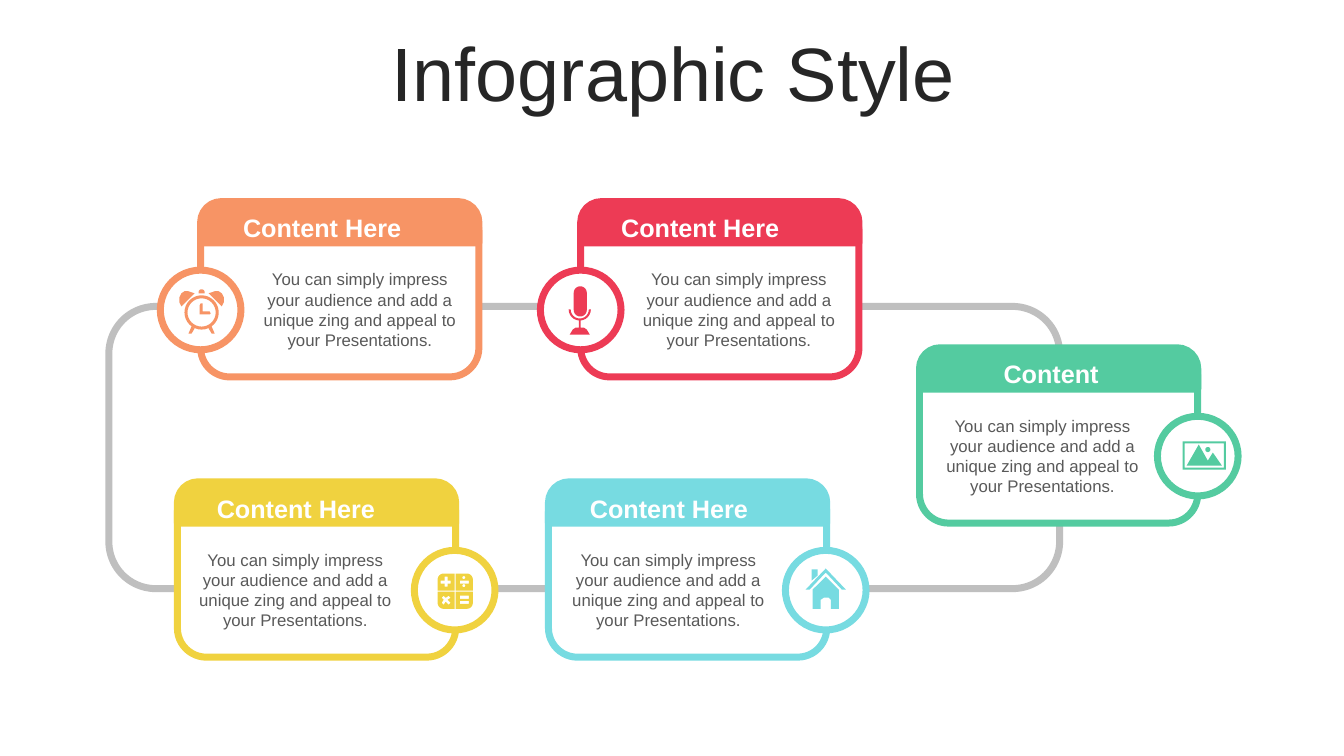
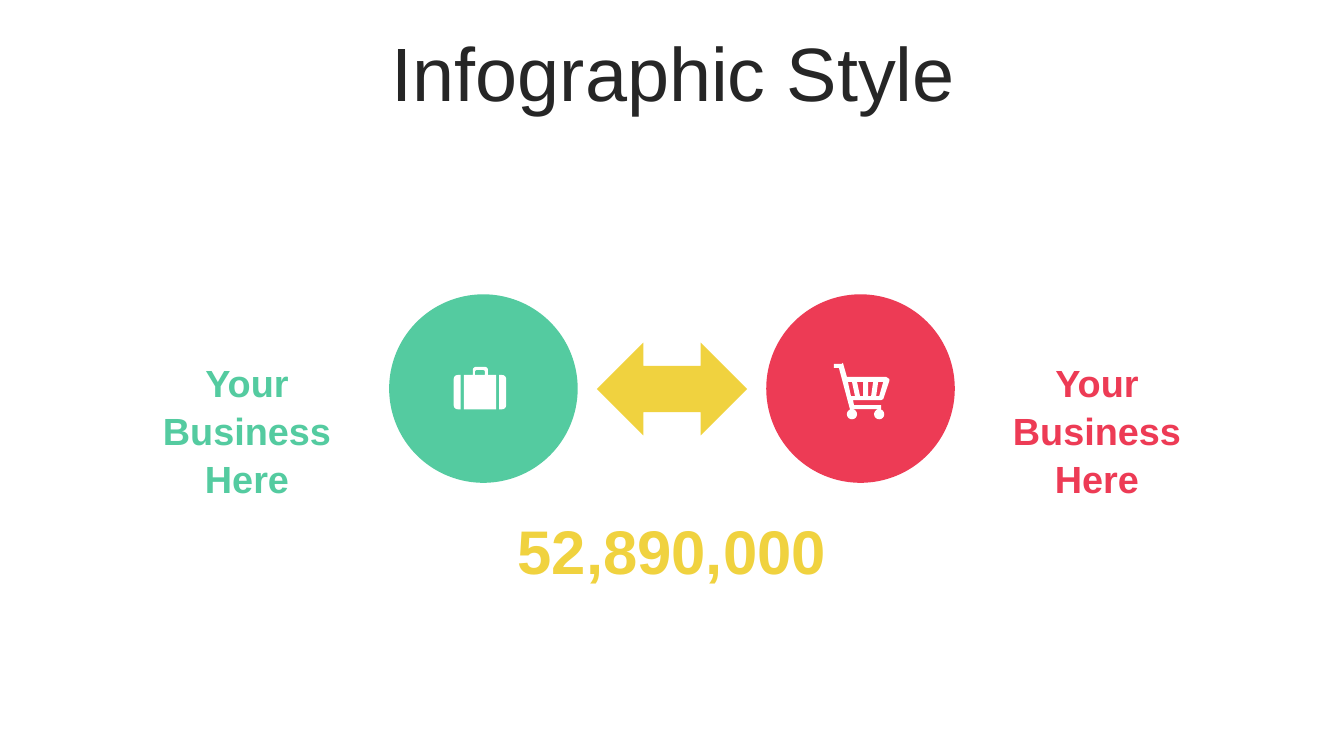
from math import cos, radians, sin

from pptx import Presentation
from pptx.dml.color import RGBColor
from pptx.enum.shapes import MSO_SHAPE
from pptx.enum.text import MSO_ANCHOR, PP_ALIGN
from pptx.util import Emu, Pt

PX = 9144
FONT = "Arial"
ROUNDED = MSO_SHAPE.ROUNDED_RECTANGLE
TOP_ROUNDED = MSO_SHAPE.ROUND_2_SAME_RECTANGLE
OVAL = MSO_SHAPE.OVAL
DOUBLE_ARROW = MSO_SHAPE.LEFT_RIGHT_ARROW
CENTER = PP_ALIGN.CENTER
TOP = MSO_ANCHOR.TOP
MIDDLE = MSO_ANCHOR.MIDDLE

WHITE = RGBColor(0xFF, 0xFF, 0xFF)
INK = RGBColor(0x26, 0x26, 0x26)
TEXT_GRAY = RGBColor(0x59, 0x59, 0x59)
TRACK_GRAY = RGBColor(0xBF, 0xBF, 0xBF)
ORANGE = RGBColor(0xF7, 0x94, 0x65)
RED = RGBColor(0xED, 0x3B, 0x55)
GREEN = RGBColor(0x54, 0xCB, 0xA0)
YELLOW = RGBColor(0xF0, 0xD2, 0x3F)
CYAN = RGBColor(0x77, 0xDB, 0xE1)

TITLE = "Infographic Style"
HEADING = "Content Here"
BLURB = ("You can simply impress your audience and add a unique zing "
         "and appeal to your Presentations.")
BUSINESS = "Your Business Here"


def arc(x, y, radius, start, end, steps=6):
    """Return points along an arc, with angles in degrees clockwise from the right."""
    angles = [radians(start + (end - start) * step / steps) for step in range(steps + 1)]
    return [(x + radius * cos(angle), y + radius * sin(angle)) for angle in angles]


def rounded(left, top, width, height, corners=(0, 0, 0, 0)):
    """Return a rectangle outline with radii given clockwise from the top left."""
    points = []
    for index, radius in enumerate(corners):
        x = left + width - radius if index in (1, 2) else left + radius
        y = top + height - radius if index > 1 else top + radius
        start = 180 + 90 * index
        points += arc(x, y, radius, start, start + 90) if radius else [(x, y)]
    return points


def circle(x, y, radius):
    """Return a circle outline."""
    return arc(x, y, radius, 0, 360, 32)


def mirrored(points, axis):
    """Return points reflected across a vertical axis."""
    return [(2 * axis - x, y) for x, y in points]


BELL = [(15, 4), (2, 17), (0, 13), (0, 8), (2, 4), (5, 2), (9, 2), (12, 3)]
LEG = [(12, 37), (15, 39), (12, 44), (9, 44)]
CLOCK = [
    circle(22, 23, 17), circle(22, 23, 14),
    [(20, 16), (21, 14), (23, 14), (23, 22), (30, 22), (31, 24), (30, 25), (20, 25)],
    rounded(19, 0, 6, 4, (3, 3, 0, 0)),
    BELL, mirrored(BELL, 22), LEG, mirrored(LEG, 22),
]
MICROPHONE = [
    rounded(5, 0, 13, 30, (6.5,) * 4),
    arc(11, 23, 11, 0, 85)
    + [(12, 41), (15, 41), (18, 43), (21, 48), (1, 48), (4, 43), (7, 41), (10, 41)]
    + arc(11, 23, 11, 95, 180) + arc(11, 23, 9, 180, 0, 12),
]
PICTURE = [
    rounded(0, 0, 43, 28), rounded(2, 2, 39, 24), circle(25, 8, 2.5),
    [(16, 3), (25, 19), (30, 11), (39, 24), (4, 24)],
]
CALCULATOR = [
    rounded(0, 0, 17, 17, (6, 0, 0, 0)), rounded(18, 0, 17, 17, (0, 6, 0, 0)),
    rounded(18, 18, 17, 17, (0, 0, 6, 0)), rounded(0, 18, 17, 17, (0, 0, 0, 6)),
    *[rounded(22, top, 9, 3) for top in (7, 22, 27)],
    circle(26, 4, 1.5), circle(26, 12, 1.5),
    [(7, 3), (7, 7), (3, 7), (3, 10), (7, 10), (7, 13),
     (10, 13), (10, 10), (13, 10), (13, 7), (10, 7), (10, 3)],
    [(6, 22), (4, 24), (6, 26), (4, 29), (6, 31), (8, 28),
     (11, 31), (13, 29), (10, 26), (13, 24), (11, 22), (8, 24)],
]
HOUSE = [
    [(20, 8), (33, 21), (33, 40), (25, 40), (25, 31), (23, 29),
     (18, 29), (15, 31), (15, 40), (7, 40), (7, 21)],
    [(6, 1), (12, 1), (12, 7), (6, 12)],
    [(20, 0), (40, 21), (36, 21), (20, 4), (4, 21), (0, 21)],
]
CART = [
    [(9, 0), (13, 14), (52, 14), (55, 16), (55, 18), (49, 36), (47, 37), (19, 37),
     (20, 42), (47, 42), (47, 46), (16, 46), (5, 5), (0, 5), (0, 1), (8, 1)],
    [(44, 19), (42, 33), (45, 33), (49, 19)],
    [(34, 19), (34, 33), (37, 33), (39, 19)],
    [(23, 19), (26, 33), (29, 33), (29, 19)],
    [(14, 19), (17, 33), (21, 33), (18, 19)],
    circle(18, 51, 5), circle(45, 51, 5),
]
BRIEFCASE = [
    rounded(0, 8, 7, 34, (4, 0, 0, 4)), rounded(10, 8, 32, 34),
    rounded(45, 8, 7, 34, (0, 4, 4, 0)),
    rounded(19, 0, 15, 8, (3, 3, 0, 0)), rounded(21, 3, 10, 5, (2, 2, 0, 0)),
]


class Board:
    """Holds the deck, its style and the current slide."""

    def __init__(self):
        """Start an empty widescreen deck."""
        self.deck = Presentation()
        self.deck.slide_width, self.deck.slide_height = self.emu(1333, 750)
        self.page = None

    def emu(self, *lengths):
        """Turn px lengths into EMU."""
        return [Emu(round(length * PX)) for length in lengths]

    def new_page(self, title):
        """Add a slide with the shared title style."""
        self.page = self.deck.slides.add_slide(self.deck.slide_layouts[5])
        box = self.page.shapes.title
        box.left, box.top, box.width, box.height = self.emu(35, 37, 1266, 79)
        self.set_text(box, title, 54, INK, anchor=MIDDLE, spacing=0.9)

    def set_text(self, box, text, size, color, bold=False, anchor=TOP, spacing=1.0):
        """Fill a box with one centred paragraph."""
        frame = box.text_frame
        frame.text = text
        frame.word_wrap = True
        frame.vertical_anchor = anchor
        para = frame.paragraphs[0]
        para.alignment = CENTER
        para.line_spacing = spacing
        para.space_before = Pt(0)
        font = para.runs[0].font
        font.name, font.size, font.bold = FONT, Pt(size), bold
        font.color.rgb = color

    def text(self, bounds, text, size, color, bold=False, spacing=1.0):
        """Add a text box."""
        box = self.page.shapes.add_textbox(*self.emu(*bounds))
        self.set_text(box, text, size, color, bold, spacing=spacing)

    def paint(self, shape, fill, line=None):
        """Set the fill and outline of a shape."""
        shape.shadow.inherit = False
        shape.fill.solid()
        shape.fill.fore_color.rgb = fill
        if line is None:
            shape.line.fill.background()
        else:
            shape.line.color.rgb = line
            shape.line.width = Pt(5)

    def shape(self, kind, bounds, fill, line=None):
        """Add a preset shape."""
        shape = self.page.shapes.add_shape(kind, *self.emu(*bounds))
        self.paint(shape, fill, line)
        return shape

    def icon(self, left, top, outlines, color):
        """Draw outlines as one freeform whose inner outlines are holes."""
        builder = None
        for outline in outlines:
            points = [self.emu(left + x, top + y) for x, y in outline]
            if builder is None:
                builder = self.page.shapes.build_freeform(*points[0], scale=1.0)
            else:
                builder.move_to(*points[0])
            builder.add_line_segments(points[1:], close=True)
        self.paint(builder.convert_to_shape(), color)

    def card(self, left, top, color, badge, blurb, heading, title=HEADING):
        """Add a card, with its badge, blurb and heading offset from its left edge."""
        self.shape(ROUNDED, (left, top + 1, 276, 173), WHITE, color)
        header = self.shape(TOP_ROUNDED, (left, top, 276, 41), color, color)
        header.adjustments[0] = 0.5
        self.shape(OVAL, (left + badge, top + 68, 80, 79), WHITE, color)
        self.text((left + blurb, top + 62, 214, 91), BLURB, 12, TEXT_GRAY)
        self.text((left + heading, top + 6, 195, 30), title, 18, WHITE, bold=True)


def main():
    """Build both slides and save the deck."""
    board = Board()

    board.new_page(TITLE)
    board.shape(ROUNDED, (108, 304, 943, 280), WHITE, TRACK_GRAY)
    board.card(176, 478, YELLOW, 235, 10, 20)
    board.card(912, 345, GREEN, 236, 15, 33, "Content")
    board.card(544, 478, CYAN, 235, 12, 22)
    board.card(576, 200, RED, -40, 50, 21)
    board.card(199, 200, ORANGE, -40, 51, 23)
    for left, top, outlines, color in (
        (178, 287, CLOCK, ORANGE),
        (434, 569, CALCULATOR, YELLOW),
        (799, 564, HOUSE, CYAN),
        (564, 284, MICROPHONE, RED),
        (1173, 438, PICTURE, GREEN),
    ):
        board.icon(left, top, outlines, color)

    board.new_page(TITLE)
    for circle_left, label_left, color in ((386, 123, GREEN), (760, 966, RED)):
        board.shape(OVAL, (circle_left, 292, 187, 187), color)
        board.text((label_left, 350, 244, 101), BUSINESS, 27, color, bold=True, spacing=1.05)
    board.shape(DOUBLE_ARROW, (592, 340, 149, 92), YELLOW)
    board.text((486, 504, 361, 84), "52,890,000", 44, YELLOW, bold=True)
    board.icon(827, 360, CART, WHITE)
    board.icon(450, 364, BRIEFCASE, WHITE)

    board.deck.save("out.pptx")


if __name__ == "__main__":
    main()
